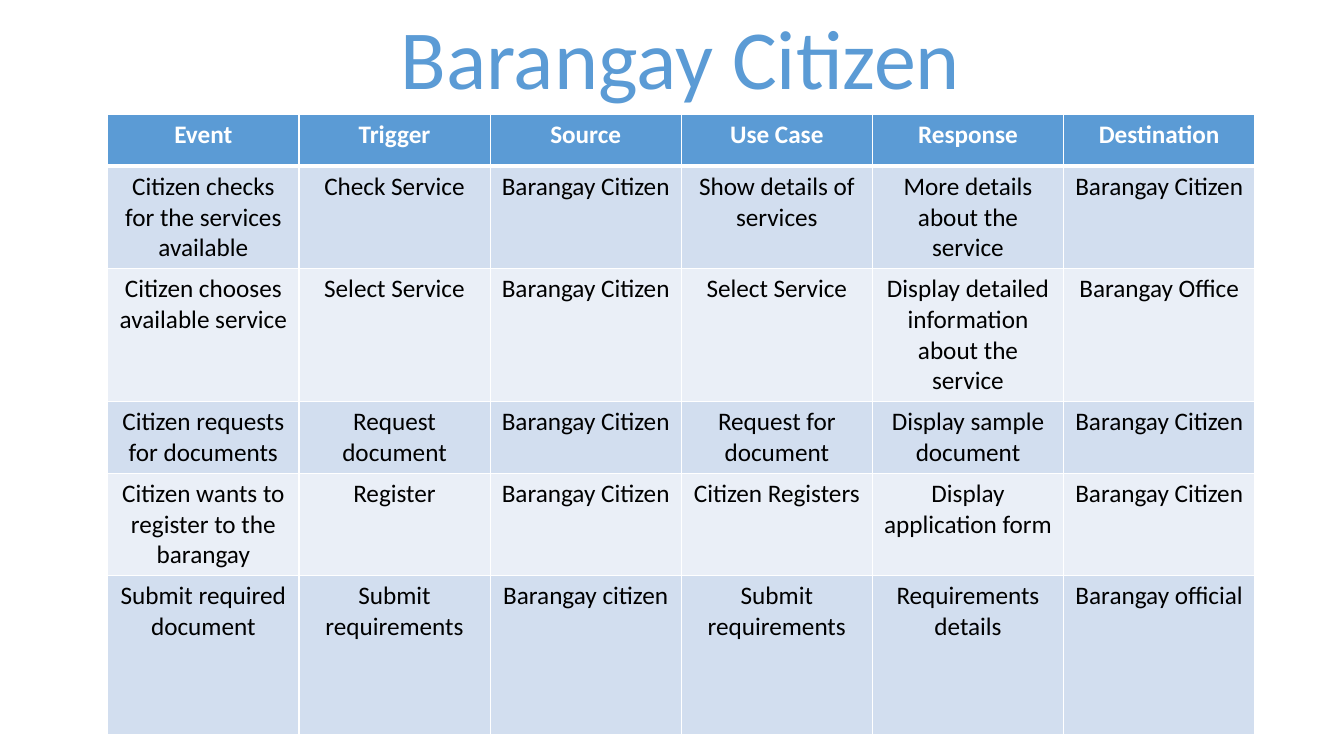
from dataclasses import dataclass

import pptx
import pptx.dml.color
import pptx.enum.text
import pptx.oxml
import pptx.oxml.ns
import pptx.util

Pt = pptx.util.Pt
BLUE = "5B9BD5"
WHITE = "FFFFFF"
BLACK = "000000"
BANDS = ("D2DEEF", "EAEFF7")
COL_WIDTH = 136.56


@dataclass
class Row:
    height: float
    cells: tuple[str, ...]


ROWS = [
    Row(36.72, ("Event", "Trigger", "Source", "Use Case", "Response", "Destination")),
    Row(51.12, ("Citizen checks for the services available", "Check Service",
                "Barangay Citizen", "Show details of services",
                "More details about the service", "Barangay Citizen")),
    Row(51.12, ("Citizen chooses available service", "Select Service",
                "Barangay Citizen", "Select Service",
                "Display detailed information about the service", "Barangay Office")),
    Row(51.12, ("Citizen requests for documents", "Request document",
                "Barangay Citizen", "Request for document",
                "Display sample document", "Barangay Citizen")),
    Row(72, ("Citizen wants to register to the barangay", "Register",
             "Barangay Citizen", "Citizen Registers",
             "Display application form", "Barangay Citizen")),
    Row(113.76, ("Submit required document", "Submit requirements",
                 "Barangay citizen", "Submit requirements",
                 "Requirements details", "Barangay official")),
]


def color(code: str) -> pptx.dml.color.RGBColor:
    return pptx.dml.color.RGBColor.from_string(code)


def write(frame, text: str, *, size: float, ink: str, bold: bool = False) -> None:
    frame.text = text
    line = frame.paragraphs[0]
    line.alignment = pptx.enum.text.PP_ALIGN.CENTER
    line.line_spacing = 1.0
    font = line.runs[0].font
    font.name = "Calibri"
    font.size = Pt(size)
    font.bold = bold
    font.color.rgb = color(ink)


def border(cell, top: float, bottom: float) -> None:
    props = cell._tc.get_or_add_tcPr()
    sides = (("lnL", 1), ("lnR", 1), ("lnT", top), ("lnB", bottom))
    for index, (side, width) in enumerate(sides):
        props.insert(index, pptx.oxml.parse_xml(
            f'<a:{side} {pptx.oxml.ns.nsdecls("a")} w="{Pt(width)}">'
            f'<a:solidFill><a:srgbClr val="{WHITE}"/></a:solidFill></a:{side}>'))


def add_title(slide) -> None:
    title = slide.shapes.title
    title.left, title.top = Pt(204.5), Pt(0)
    title.width, title.height = Pt(563), Pt(80)
    title.text_frame.word_wrap = True
    title.text_frame.vertical_anchor = pptx.enum.text.MSO_ANCHOR.TOP
    write(title.text_frame, "Barangay Citizen", size=60, ink=BLUE)


def add_grid(slide) -> None:
    count = len(ROWS[0].cells)
    frame = slide.shapes.add_table(
        len(ROWS), count, Pt(77), Pt(82), Pt(COL_WIDTH * count), Pt(438.5))
    table = frame.table
    for column in table.columns:
        column.width = Pt(COL_WIDTH)
    for r, row in enumerate(ROWS):
        table.rows[r].height = Pt(row.height)
        head = r == 0
        for c, text in enumerate(row.cells):
            cell = table.cell(r, c)
            cell.fill.solid()
            cell.fill.fore_color.rgb = color(BLUE if head else BANDS[(r - 1) % 2])
            border(cell, top=3 if r == 1 else 1, bottom=3 if head else 1)
            write(cell.text_frame, text, size=18,
                  ink=WHITE if head else BLACK, bold=head)
    frame.height = Pt(438.5)


def main() -> None:
    deck = pptx.Presentation()
    deck.slide_width, deck.slide_height = Pt(960), Pt(540)
    slide = deck.slides.add_slide(deck.slide_layouts.get_by_name("Title Only"))
    add_title(slide)
    add_grid(slide)
    deck.save("out.pptx")


if __name__ == "__main__":
    main()
